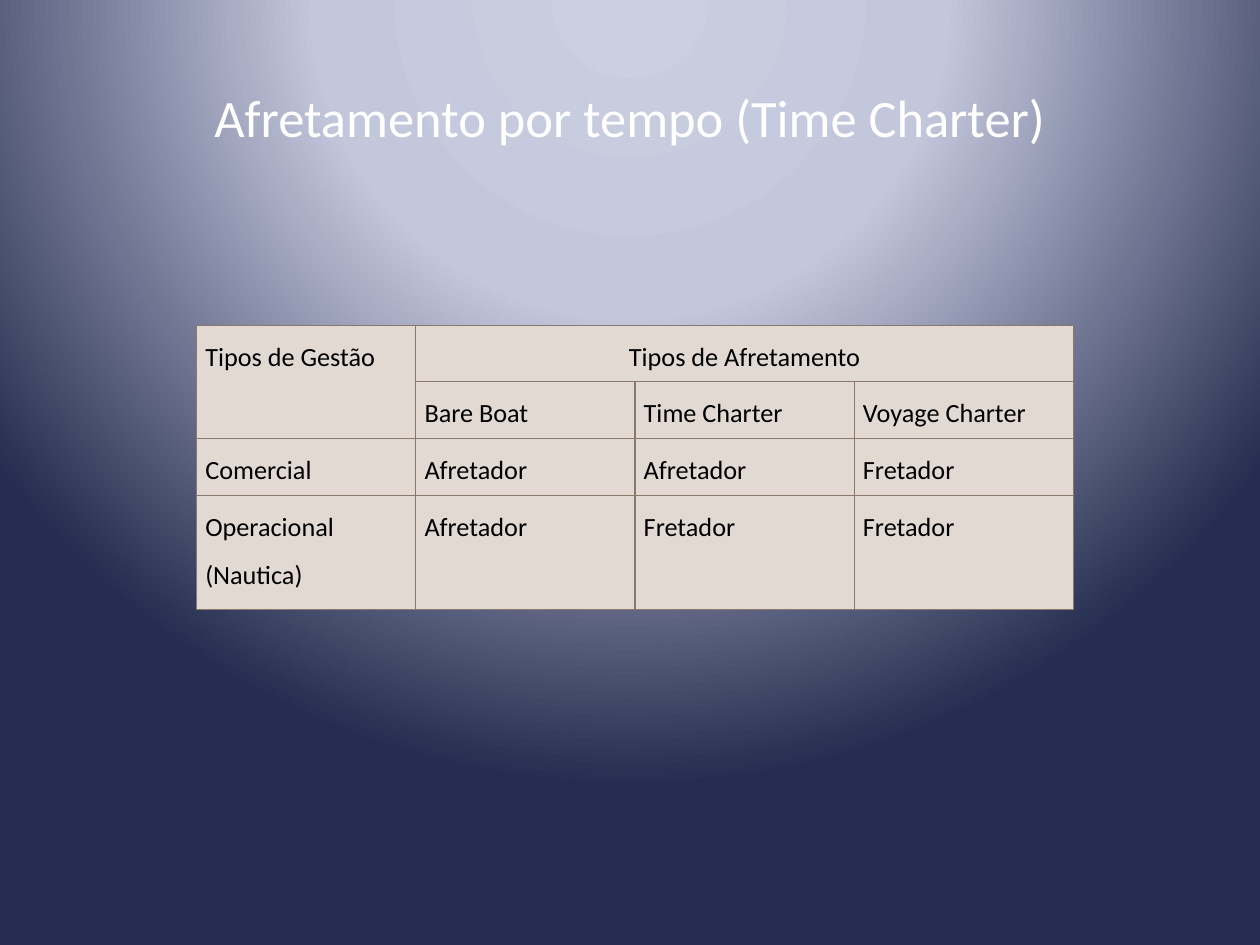
from dataclasses import dataclass

from lxml import etree
from pptx import Presentation
from pptx.dml.color import RGBColor
from pptx.enum.text import MSO_ANCHOR, PP_ALIGN
from pptx.oxml import parse_xml
from pptx.oxml.ns import qn
from pptx.util import Inches, Pt

CENTER, JUSTIFY = PP_ALIGN.CENTER, PP_ALIGN.JUSTIFY
MIDDLE, TOP = MSO_ANCHOR.MIDDLE, MSO_ANCHOR.TOP
DRAWING_NS = "http://schemas.openxmlformats.org/drawingml/2006/main"
FONT = "Calibri"
WHITE, BLACK = "FFFFFF", "000000"
CELL_FILL, BORDER = "E2D9D2", "8A786D"
BACKGROUND_STOPS = [(0, "CBCFE1"), (40, "C3C7DC"), (100, "252D50")]
COLUMN_WIDTH = 1.74
ROW_HEIGHTS = [0.45, 0.45, 0.45, 0.91]


@dataclass
class TableCell:
    row: int
    column: int
    text: str
    alignment: PP_ALIGN = JUSTIFY
    row_span: int = 1
    column_span: int = 1


HEADERS = [
    TableCell(0, 0, "Tipos de Gestão", row_span=2),
    TableCell(0, 1, "Tipos de Afretamento", CENTER, column_span=3),
]
BODY = [
    ["", "Bare Boat", "Time Charter", "Voyage Charter"],
    ["Comercial", "Afretador", "Afretador", "Fretador"],
    ["Operacional (Nautica)", "Afretador", "Fretador", "Fretador"],
]


def rgb(value: str) -> RGBColor:
    return RGBColor.from_string(value)


def set_background(slide) -> None:
    """Fill the background with a circular gradient centred above the slide."""
    stops = "".join(
        f'<a:gs pos="{position * 1000}"><a:srgbClr val="{color}"/></a:gs>'
        for position, color in BACKGROUND_STOPS
    )
    gradient = parse_xml(
        f'<a:gradFill xmlns:a="{DRAWING_NS}" rotWithShape="1"><a:gsLst>{stops}</a:gsLst>'
        '<a:path path="circle"><a:fillToRect l="50000" t="-80000" r="50000" b="180000"/>'
        "</a:path></a:gradFill>"
    )
    slide.background.fill.solid()
    solid = next(slide.element.iter(qn("a:solidFill")))
    solid.getparent().replace(solid, gradient)


def add_text(paragraph, text: str, size: float, color: str, alignment: PP_ALIGN) -> None:
    paragraph.alignment = alignment
    run = paragraph.add_run()
    run.text = text
    run.font.name = FONT
    run.font.size = Pt(size)
    run.font.color.rgb = rgb(color)


def add_title(slide, text: str) -> None:
    title = slide.shapes.add_textbox(Inches(0.5), Inches(0.3), Inches(9), Inches(1.25))
    frame = title.text_frame
    frame.word_wrap = True
    frame.vertical_anchor = MIDDLE
    add_text(frame.paragraphs[0], text, 30, WHITE, CENTER)


def style_cell(cell) -> None:
    cell.margin_left = cell.margin_right = Inches(0.07)
    cell.margin_top = cell.margin_bottom = 0
    cell.vertical_anchor = TOP
    cell.fill.solid()
    cell.fill.fore_color.rgb = rgb(CELL_FILL)
    # Border lines come before the fill in the cell properties
    properties = cell._tc.get_or_add_tcPr()
    for index, side in enumerate(("lnL", "lnR", "lnT", "lnB")):
        line = etree.Element(qn(f"a:{side}"), w=str(Pt(0.75)))
        fill = etree.SubElement(line, qn("a:solidFill"))
        etree.SubElement(fill, qn("a:srgbClr"), val=BORDER)
        properties.insert(index, line)


def write_cell(table, item: TableCell) -> None:
    cell = table.cell(item.row, item.column)
    if item.row_span > 1 or item.column_span > 1:
        cell.merge(table.cell(item.row + item.row_span - 1,
                              item.column + item.column_span - 1))
    paragraph = cell.text_frame.paragraphs[0]
    paragraph.line_spacing = 1.5
    add_text(paragraph, item.text, 15, BLACK, item.alignment)


def add_charter_table(slide) -> None:
    row_count, column_count = len(ROW_HEIGHTS), len(BODY[0])
    frame = slide.shapes.add_table(
        row_count, column_count, Inches(1.56), Inches(2.58),
        Inches(COLUMN_WIDTH * column_count), Inches(sum(ROW_HEIGHTS)))
    table = frame.table
    table.first_row = table.horz_banding = False
    for column in table.columns:
        column.width = Inches(COLUMN_WIDTH)
    for row, height in zip(table.rows, ROW_HEIGHTS):
        row.height = Inches(height)
    for cell in table.iter_cells():
        style_cell(cell)
    body_cells = [
        TableCell(row, column, text)
        for row, texts in enumerate(BODY, start=1)
        for column, text in enumerate(texts) if text
    ]
    for item in HEADERS + body_cells:
        write_cell(table, item)


def main() -> None:
    presentation = Presentation()
    presentation.slide_width = Inches(10)
    presentation.slide_height = Inches(7.5)
    slide = presentation.slides.add_slide(presentation.slide_layouts[6])
    set_background(slide)
    add_title(slide, "Afretamento por tempo (Time Charter)")
    add_charter_table(slide)
    presentation.save("out.pptx")


if __name__ == "__main__":
    main()
